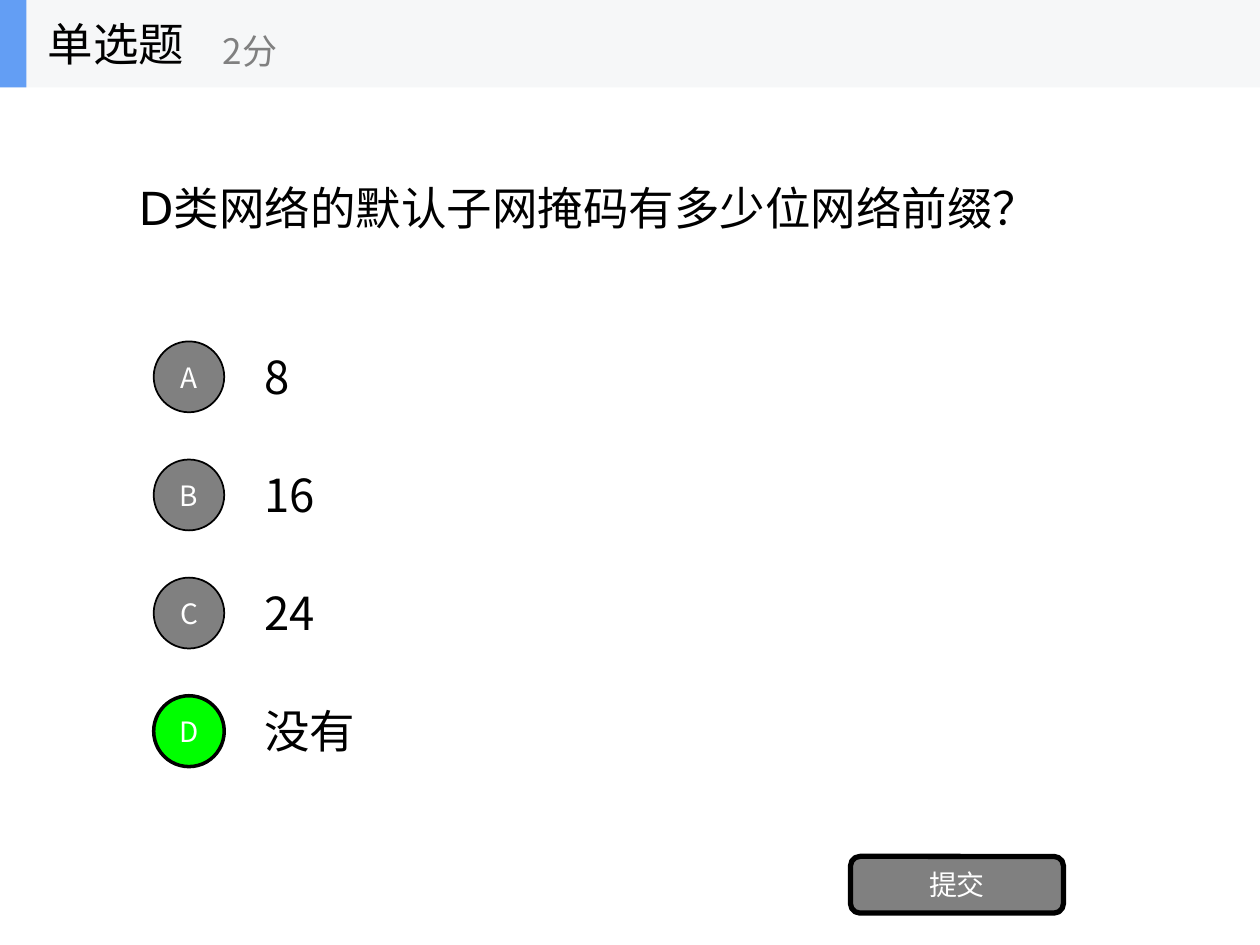
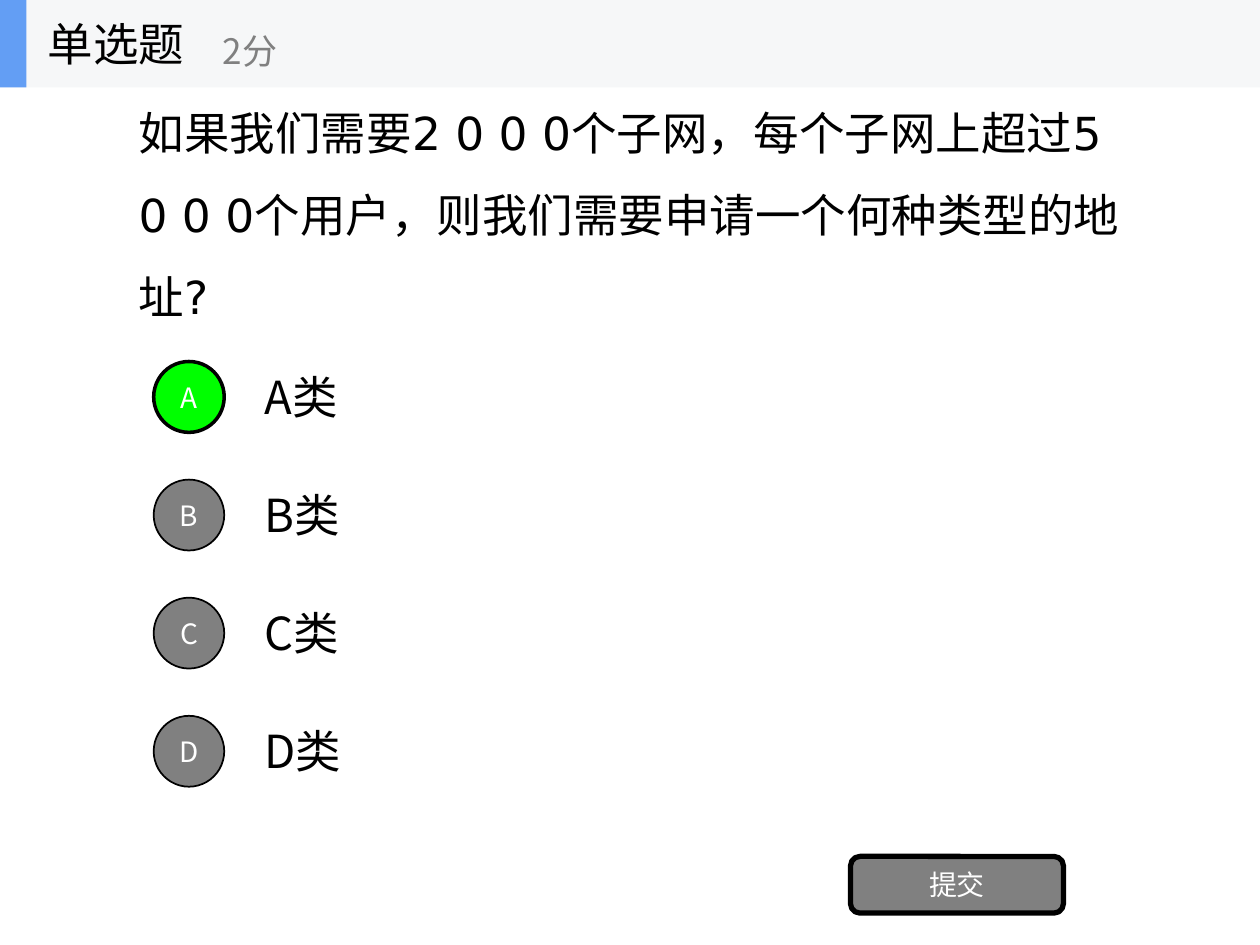
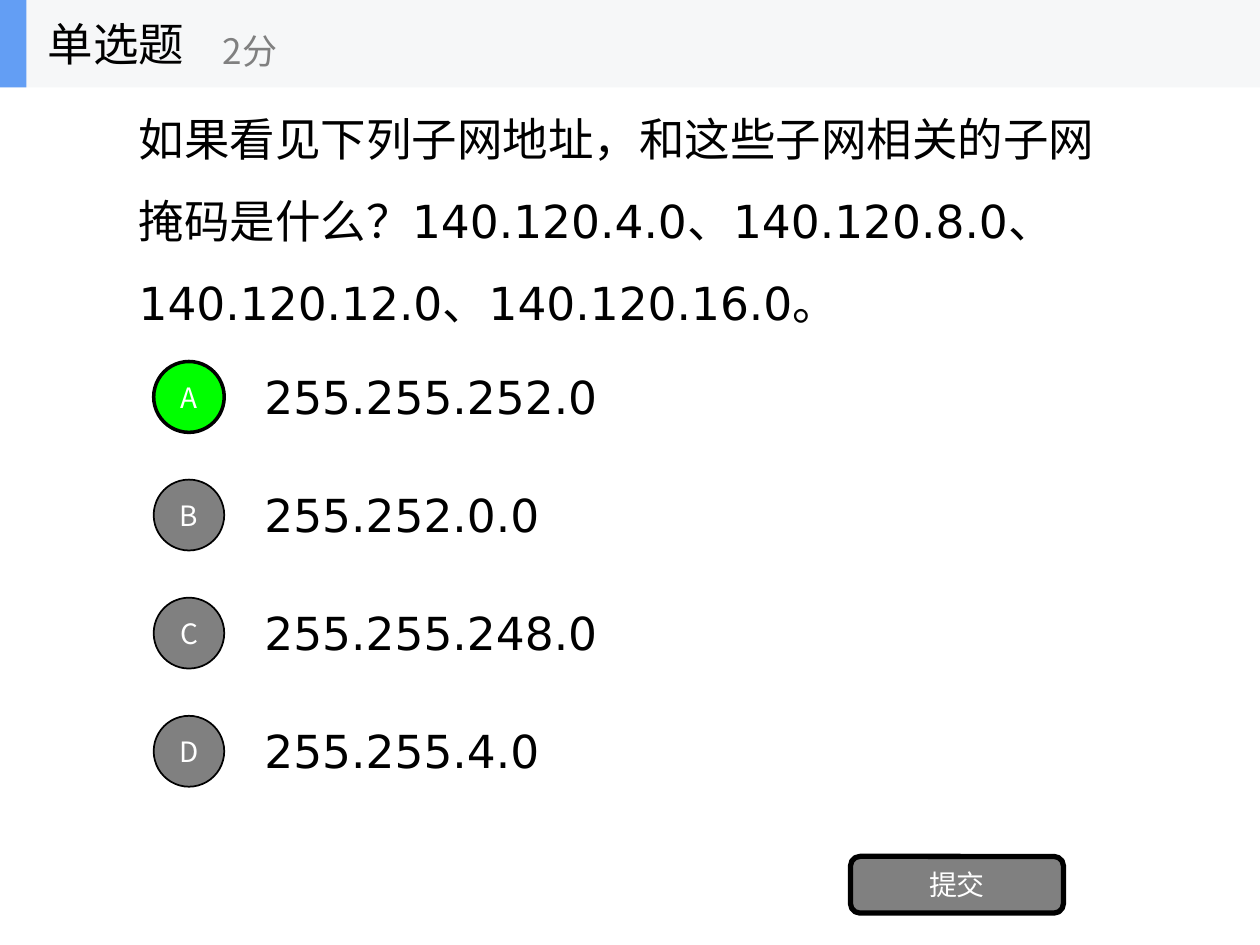
from dataclasses import dataclass

from lxml import etree
from pptx import Presentation
from pptx.dml.color import RGBColor
from pptx.enum.shapes import MSO_SHAPE
from pptx.enum.text import MSO_ANCHOR, MSO_AUTO_SIZE, PP_ALIGN
from pptx.oxml.ns import qn
from pptx.util import Inches, Pt

RECTANGLE, ROUNDED, OVAL = MSO_SHAPE.RECTANGLE, MSO_SHAPE.ROUNDED_RECTANGLE, MSO_SHAPE.OVAL
MIDDLE, NO_AUTOFIT = MSO_ANCHOR.MIDDLE, MSO_AUTO_SIZE.NONE
LEFT, CENTER = PP_ALIGN.LEFT, PP_ALIGN.CENTER

SLIDE_WIDTH, SLIDE_HEIGHT = Inches(10), Inches(7.5)
COLUMN, ROW = SLIDE_WIDTH / 10, SLIDE_HEIGHT / 8
TITLE_ONLY_LAYOUT = 5

BLACK, WHITE, GRAY = "000000", "FFFFFF", "808080"
BAND, ACCENT, CORRECT = "F6F7F8", "639EF4", "00FF00"
CJK_FONT, LATIN_FONT = "Noto Sans CJK SC", "DejaVu Sans"


@dataclass(frozen=True)
class Box:
    """A place on the slide, in columns and rows of the grid."""
    column: float
    row: float
    columns: float
    rows: float

    def lengths(self) -> tuple[int, int, int, int]:
        return (round(self.column * COLUMN), round(self.row * ROW),
                round(self.columns * COLUMN), round(self.rows * ROW))


@dataclass(frozen=True)
class TextStyle:
    size: float
    color: str = BLACK
    font: str = CJK_FONT
    alignment: PP_ALIGN = LEFT
    line_spacing: float = 1.0


@dataclass(frozen=True)
class Question:
    text: str
    options: tuple[str, ...]
    answer: str
    question_row: float = 0.5
    options_row: float = 2.98
    line_spacing: float = 1.5
    option_font: str = CJK_FONT
    bottom_margin_rows: float = 0.05


HEADING = TextStyle(26)
POINTS = TextStyle(20, GRAY)
BUTTON = TextStyle(16, WHITE, alignment=CENTER)

QUESTIONS = (
    Question("D类网络的默认子网掩码有多少位网络前缀？", ("8", "16", "24", "没有"), "D",
             options_row=2.81, line_spacing=1.0),
    Question("如果我们需要2 0 0 0个子网，每个子网上超过5 0 0 0个用户，"
             "则我们需要申请一个何种类型的地址?",
             ("A类", "B类", "C类", "D类"), "A",
             question_row=0.68, bottom_margin_rows=0.52),
    Question("如果看见下列子网地址，和这些子网相关的子网掩码是什么？"
             "140.120.4.0、140.120.8.0、140.120.12.0、140.120.16.0。",
             ("255.255.252.0", "255.252.0.0", "255.255.248.0", "255.255.4.0"), "A",
             option_font=LATIN_FONT),
)


def rgb(color: str) -> RGBColor:
    return RGBColor.from_string(color)


def write_text(shape, text: str, style: TextStyle) -> None:
    frame = shape.text_frame
    frame.text = text
    frame.word_wrap = True
    frame.auto_size = NO_AUTOFIT
    frame.vertical_anchor = MIDDLE
    paragraph = frame.paragraphs[0]
    paragraph.alignment = style.alignment
    paragraph.line_spacing = style.line_spacing
    font = paragraph.font
    font.size = Pt(style.size)
    font.color.rgb = rgb(style.color)
    font.name = style.font
    properties = paragraph._p.pPr.find(qn("a:defRPr"))
    etree.SubElement(properties, qn("a:ea"), typeface=CJK_FONT)


def add_text(slide, box: Box, text: str, style: TextStyle) -> None:
    write_text(slide.shapes.add_textbox(*box.lengths()), text, style)


def add_filled(slide, kind: MSO_SHAPE, box: Box, fill: str, line_width: float = 0):
    """Add a shape with a plain fill, outlined in black if it has a line width."""
    shape = slide.shapes.add_shape(kind, *box.lengths())
    shape.shadow.inherit = False
    shape.fill.solid()
    shape.fill.fore_color.rgb = rgb(fill)
    if line_width:
        shape.line.color.rgb = rgb(BLACK)
        shape.line.width = Pt(line_width)
    else:
        shape.line.fill.background()
    return shape


def place_question(slide, question: Question) -> None:
    title = slide.shapes.title
    title.left, title.top, title.width, title.height = Box(
        1, question.question_row, 8, 2.5).lengths()
    write_text(title, question.text, TextStyle(
        26, font=LATIN_FONT, line_spacing=question.line_spacing))
    title.text_frame.margin_bottom = round(question.bottom_margin_rows * ROW)


def add_options(slide, question: Question) -> None:
    style = TextStyle(26, font=question.option_font)
    for index, option in enumerate(question.options):
        row = question.options_row + index
        add_text(slide, Box(2, row, 7, 0.75), option, style)
        letter = "ABCD"[index]
        fill, line_width = (CORRECT, 2) if letter == question.answer else (GRAY, 1)
        circle = add_filled(slide, OVAL, Box(1.22, row + 0.08, 0.56, 0.6), fill, line_width)
        write_text(circle, letter, BUTTON)


def add_submit_button(slide) -> None:
    button = add_filled(slide, ROUNDED, Box(6.75, 7.25, 1.69, 0.48), GRAY, 3)
    write_text(button, "提交", BUTTON)


def add_header(slide) -> None:
    add_filled(slide, RECTANGLE, Box(0, 0, 10, 0.74), BAND)
    add_filled(slide, RECTANGLE, Box(0, 0, 0.21, 0.74), ACCENT)
    add_text(slide, Box(0.28, 0, 2.08, 0.74), "单选题", HEADING)
    add_text(slide, Box(1.67, 0.13, 2.5, 0.6), "2分", POINTS)


def main() -> None:
    presentation = Presentation()
    presentation.slide_width, presentation.slide_height = SLIDE_WIDTH, SLIDE_HEIGHT
    layout = presentation.slide_layouts[TITLE_ONLY_LAYOUT]
    for question in QUESTIONS:
        slide = presentation.slides.add_slide(layout)
        place_question(slide, question)
        add_options(slide, question)
        add_submit_button(slide)
        add_header(slide)
    presentation.save("out.pptx")


if __name__ == "__main__":
    main()
